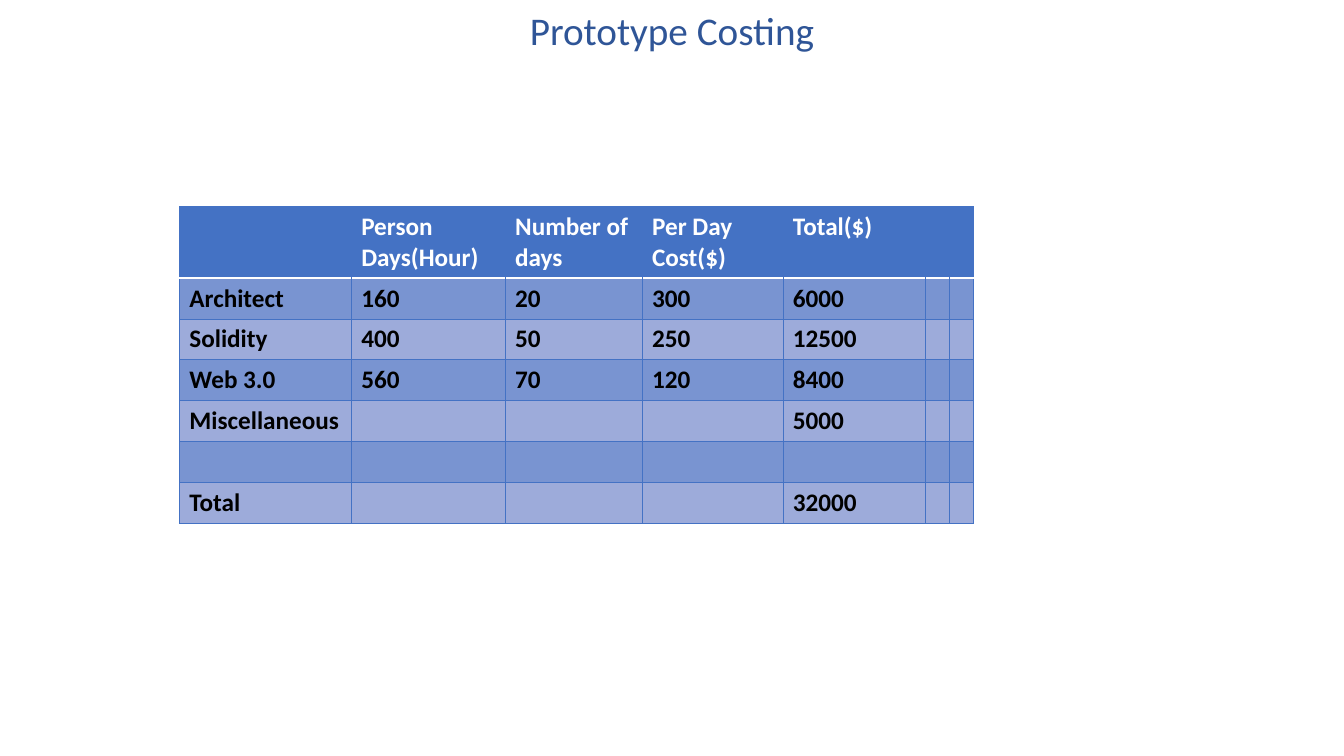
from lxml.etree import SubElement
from pptx import Presentation
from pptx.dml.color import RGBColor
from pptx.enum.text import MSO_AUTO_SIZE as AutoSize, PP_ALIGN as Align
from pptx.oxml.ns import qn
from pptx.util import Cm, Pt

BLUE, WHITE = "4472C4", "FFFFFF"
NO_GRID_STYLE = "{2D5ABB26-0587-4C30-8999-92F81FD0307C}"

HEADER = ["", "Person Days(Hour)", "Number of days", "Per Day Cost($)", "Total($)", "", ""]
COSTS = [
    ["Architect", "160", "20", "300", "6000", "", ""],
    ["Solidity", "400", "50", "250", "12500", "", ""],
    ["Web 3.0", "560", "70", "120", "8400", "", ""],
    ["Miscellaneous", "", "", "", "5000", "", ""],
    ["", "", "", "", "", "", ""],
    ["Total", "", "", "", "32000", "", ""],
]
COLUMN_WIDTHS = [4.33, 3.88, 3.45, 3.55, 3.58, 0.6, 0.6]
HEADER_HEIGHT, ROW_HEIGHT = 1.79, 1.02


def colour(value):
    return RGBColor.from_string(value)


class CostingPage:
    font_name = "Calibri"
    title_format = {"size": Pt(28)}
    cell_format = {"size": Pt(18), "bold": True}
    bands = ["7994D1", "9DABDA"]

    def __init__(self, deck):
        self.page = deck.slides.add_slide(deck.slide_layouts[6])

    def add_span(self, para, text, ink, formats):
        span = para.add_run()
        span.text = text
        for name, value in {"name": self.font_name, **formats}.items():
            setattr(span.font, name, value)
        span.font.color.rgb = colour(ink)

    def title(self, text, left, top, width, height):
        box = self.page.shapes.add_textbox(Cm(left), Cm(top), Cm(width), Cm(height))
        for name, value in {"word_wrap": True, "auto_size": AutoSize.NONE}.items():
            setattr(box.text_frame, name, value)
        para = box.text_frame.paragraphs[0]
        para.alignment = Align.CENTER
        self.add_span(para, text, "2F5597", self.title_format)

    def border(self, cell, side, ink, points):
        properties = cell._tc.get_or_add_tcPr()
        line = SubElement(properties, qn(f"a:ln{side}"), w=str(Pt(points)))
        if ink:
            fill = SubElement(line, qn("a:solidFill"))
            SubElement(fill, qn("a:srgbClr"), val=ink)
        else:
            SubElement(line, qn("a:noFill"))

    def cell(self, cell, text, ink, fill, borders):
        # Borders come before the fill in the cell properties
        for side, (line_ink, points) in borders.items():
            self.border(cell, side, line_ink, points)
        cell.fill.solid()
        cell.fill.fore_color.rgb = colour(fill)
        if text:
            self.add_span(cell.text_frame.paragraphs[0], text, ink, self.cell_format)

    def table(self, header, body, left, top):
        rows = [header, *body]
        heights = [HEADER_HEIGHT] + [ROW_HEIGHT] * len(body)
        frame = self.page.shapes.add_table(
            len(rows), len(header), Cm(left), Cm(top),
            Cm(sum(COLUMN_WIDTHS)), Cm(sum(heights)))
        table = frame.table
        table.horz_banding = False
        table._tbl.tblPr.find(qn("a:tableStyleId")).text = NO_GRID_STYLE
        for column, width in zip(table.columns, COLUMN_WIDTHS):
            column.width = Cm(width)
        for row, height in zip(table.rows, heights):
            row.height = Cm(height)

        grid, rule, none = (BLUE, 0.5), (WHITE, 1), (None, 0)
        last = len(header) - 1
        for i, texts in enumerate(rows):
            for j, text in enumerate(texts):
                if i == 0:
                    borders = {"L": none if j else grid,
                               "R": grid if j == last else none,
                               "T": grid, "B": rule}
                    ink, fill = WHITE, BLUE
                else:
                    borders = {"L": grid, "R": grid,
                               "T": rule if i == 1 else grid, "B": grid}
                    ink, fill = "000000", self.bands[(i - 1) % 2]
                self.cell(table.cell(i, j), text, ink, fill, borders)


def main():
    deck = Presentation()
    deck.slide_width, deck.slide_height = Cm(33.87), Cm(19.05)
    costing = CostingPage(deck)

    # Heading
    costing.title("Prototype Costing", 0, 0.03, 33.87, 2.64)

    # Cost table
    costing.table(HEADER, COSTS, 4.52, 5.2)

    deck.save("out.pptx")


if __name__ == "__main__":
    main()
